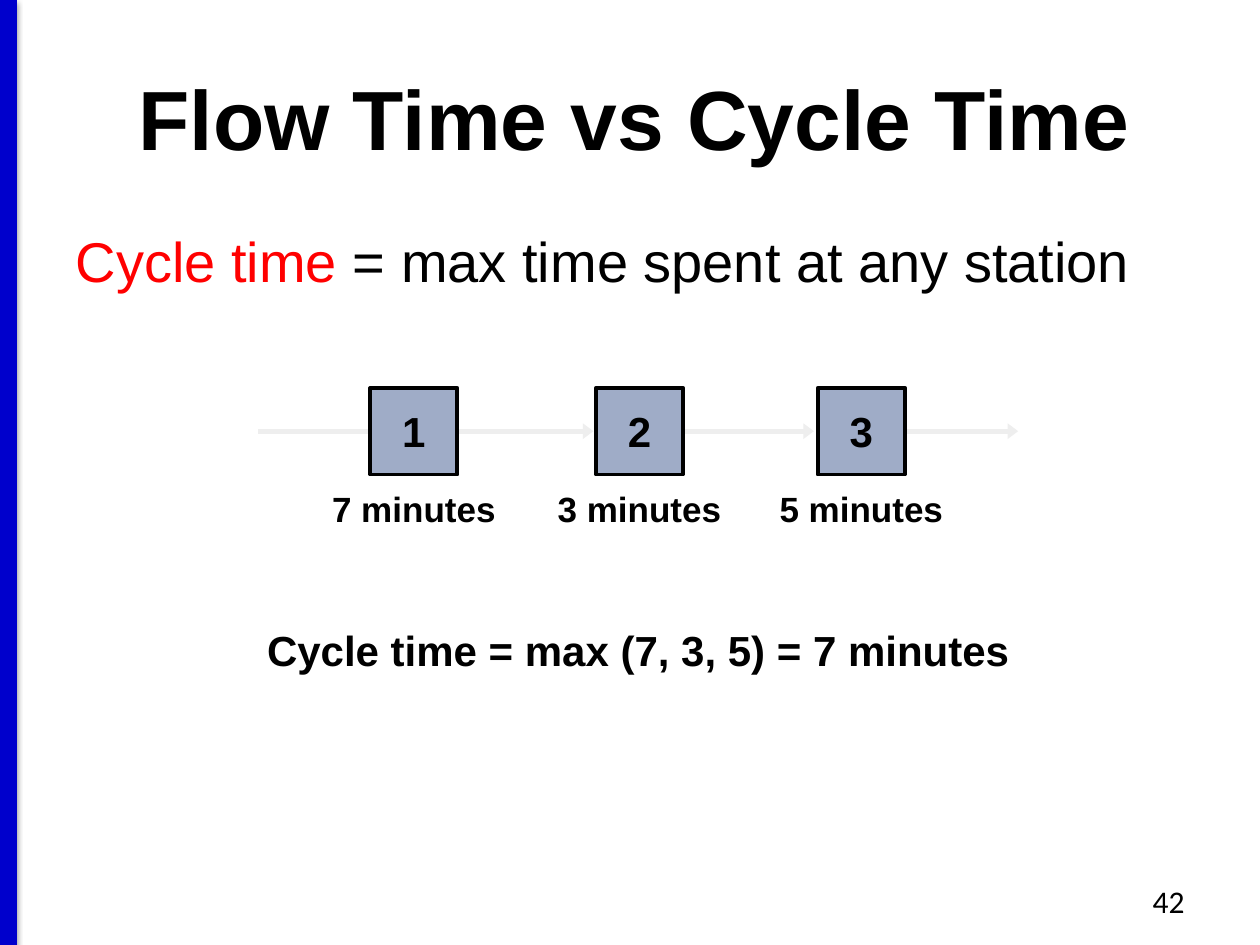
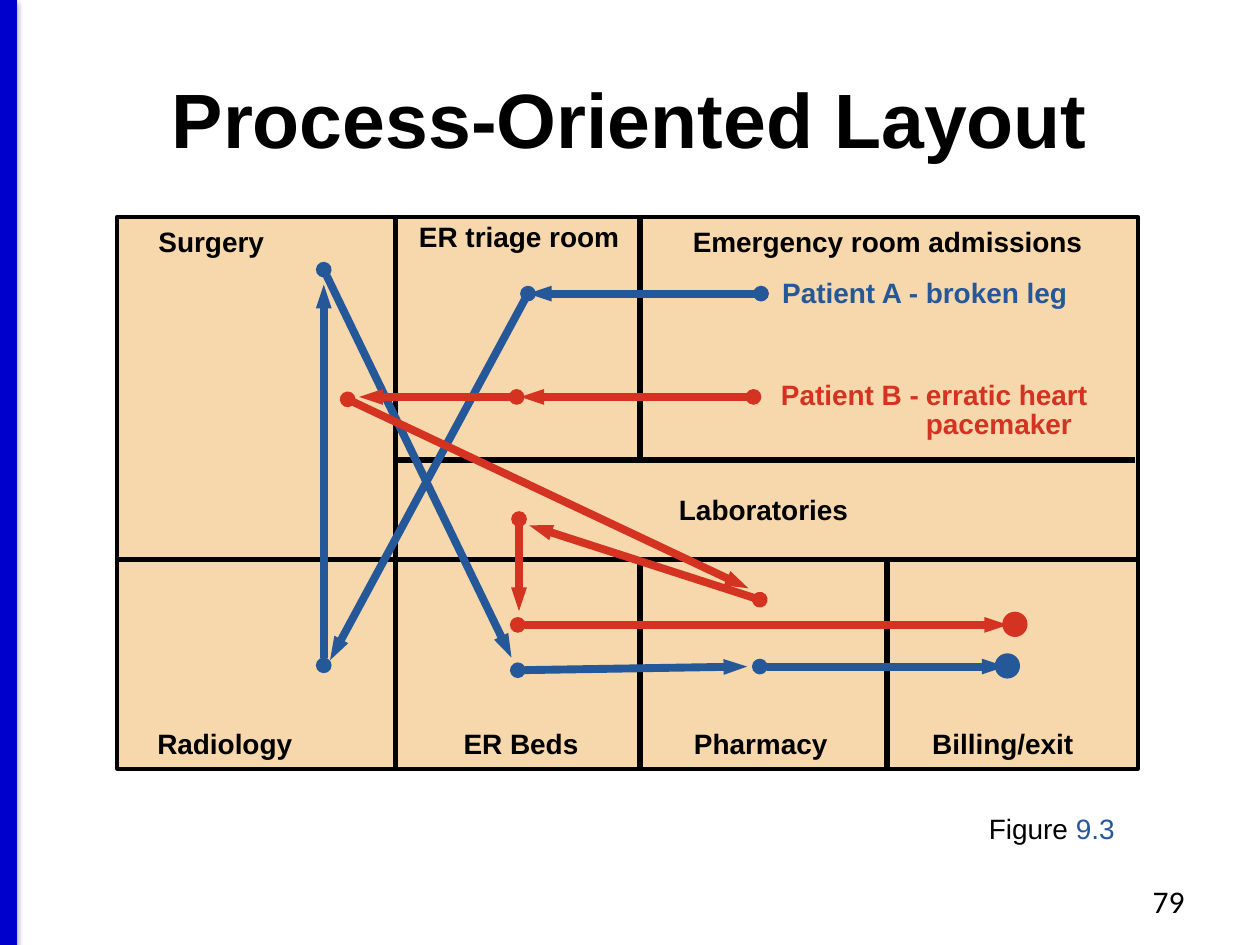
from lxml import etree
from pptx import Presentation
from pptx.dml.color import RGBColor
from pptx.enum import shapes, text
from pptx.oxml import ns
from pptx.util import Pt

COLOURS = {
    "black": "000000", "band": "0000CC", "key": "FF0000",
    "flow": "EEEEEE", "station": "9FACC7", "floor": "F7D7AC",
    "patient_a": "255898", "patient_b": "D33320",
}
FONT = "Arial"
LEFT, CENTRE, RIGHT = text.PP_ALIGN.LEFT, text.PP_ALIGN.CENTER, text.PP_ALIGN.RIGHT


def rgb(name):
    return RGBColor.from_string(COLOURS[name])


def sub(parent, tag, **attributes):
    return etree.SubElement(parent, ns.qn(tag), attributes)


def add_runs(paragraph, runs, size, bold=False, font=FONT):
    """Append (wording, colour) pairs to a paragraph."""
    for wording, colour in runs:
        run = paragraph.add_run()
        run.text = wording
        run.font.name = font
        run.font.size = Pt(size)
        run.font.bold = bold
        run.font.color.rgb = rgb(colour)


def add_line(slide, start, end, colour, width):
    line = slide.shapes.add_connector(
        shapes.MSO_CONNECTOR.STRAIGHT, *(Pt(v) for v in (*start, *end)))
    line.line.color.rgb = rgb(colour)
    line.line.width = Pt(width)
    effects = sub(line._element.spPr, "a:effectLst")
    return line, effects


def add_flow_arrow(slide, start, end):
    line, _ = add_line(slide, start, end, "flow", 3)
    sub(line.line._get_or_add_ln(), "a:tailEnd", type="triangle", w="med", len="sm")


def add_route(slide, start, end, patient):
    """Draw one leg of a patient's way, from a dot to an arrowhead."""
    line, _ = add_line(slide, start, end, patient, 4.5)
    ln = line.line._get_or_add_ln()
    sub(ln, "a:headEnd", type="oval", w="sm", len="sm")
    sub(ln, "a:tailEnd", type="triangle", w="sm", len="med")


def add_shape(slide, kind, box, fill, line, line_width):
    shape = slide.shapes.add_shape(kind, *(Pt(v) for v in box))
    shape.shadow.inherit = False
    shape.fill.solid()
    shape.fill.fore_color.rgb = rgb(fill)
    shape.line.color.rgb = rgb(line)
    shape.line.width = Pt(line_width)
    return shape


def add_text(slide, box, runs, size, bold=True, align=LEFT, wrap=False, font=FONT):
    frame = slide.shapes.add_textbox(*(Pt(v) for v in box)).text_frame
    frame.word_wrap = wrap
    paragraph = frame.paragraphs[0]
    paragraph.alignment = align
    add_runs(paragraph, runs, size, bold, font)
    return frame


def place(placeholder, box):
    placeholder.left, placeholder.top, placeholder.width, placeholder.height = (
        Pt(v) for v in box)
    placeholder.text_frame.auto_size = text.MSO_AUTO_SIZE.NONE
    return placeholder.text_frame


def start_slide(deck, layout, title, title_box, title_size, number):
    """Add a slide with the side band, its title and its page number."""
    slide = deck.slides.add_slide(deck.slide_layouts[layout])
    _, effects = add_line(slide, (5, 0), (5, 540), "band", 10)
    shadow = sub(effects, "a:outerShdw", blurRad=str(Pt(3.1)), dist=str(Pt(1.6)),
                 dir="5400000", rotWithShape="0")
    shade = sub(shadow, "a:srgbClr", val=COLOURS["black"])
    sub(shade, "a:alpha", val="38000")

    heading = place(slide.shapes.title, title_box)
    heading.vertical_anchor = text.MSO_ANCHOR.MIDDLE
    heading.paragraphs[0].alignment = CENTRE
    add_runs(heading.paragraphs[0], [(title, "black")], title_size, bold=True)

    page = add_text(slide, (516, 500.5, 168, 28.8), [(number, "black")], 18,
                    bold=False, align=RIGHT, wrap=True, font="Calibri")
    page.vertical_anchor = text.MSO_ANCHOR.MIDDLE
    return slide


def add_station(slide, centre, number, minutes):
    side = 49.6
    station = add_shape(slide, shapes.MSO_SHAPE.RECTANGLE,
                        (centre - side / 2, 221.6, side, side), "station", "black", 2.25)
    station.text_frame.vertical_anchor = text.MSO_ANCHOR.MIDDLE
    digit = station.text_frame.paragraphs[0]
    digit.alignment = CENTRE
    add_runs(digit, [(str(number), "black")], 24, bold=True)
    add_text(slide, (centre - 54.5, 275, 109, 31), [(f"{minutes} minutes", "black")],
             20, align=CENTRE)


def build_cycle_time(deck):
    slide = start_slide(deck, 1, "Flow Time vs Cycle Time", (5, 21.6, 715, 90), 48, "42")

    definition = place(slide.placeholders[1], (36, 126, 648, 356.4)).paragraphs[0]
    properties = definition._p.get_or_add_pPr()
    properties.set("marL", str(Pt(30)))
    properties.set("indent", str(Pt(-30)))
    sub(properties, "a:buNone")
    definition.space_before = Pt(0)
    definition.space_after = Pt(12)
    add_runs(definition, [("Cycle time ", "key"),
                          ("= max time spent at any station", "black")], 32)

    flow_y = 246.4
    add_line(slide, (147.6, flow_y), (215.3, flow_y), "flow", 3)
    for start, end in ((256.3, 339.1), (383.8, 465.1), (513.4, 581.8)):
        add_flow_arrow(slide, (start, flow_y), (end, flow_y))
    stations = ((236.5, 7), (365.4, 3), (492.2, 5))
    for number, (centre, minutes) in enumerate(stations, 1):
        add_station(slide, centre, number, minutes)

    add_text(slide, (143.3, 353.5, 442.8, 36),
             [("Cycle time = max (7, 3, 5) = 7 minutes", "black")], 24, align=CENTRE)


def add_floor_plan(slide):
    add_shape(slide, shapes.MSO_SHAPE.RECTANGLE, (67, 123.8, 583.2, 315.4),
              "floor", "black", 2.25)
    walls = (
        ((66.2, 319.9), (650.2, 319.9)), ((226.1, 262.8), (648.7, 262.8)),
        ((226.1, 123.1), (226.1, 440.6)), ((365.8, 123.8), (365.8, 262.8)),
        ((506.9, 321.1), (506.9, 440)), ((365.8, 321.1), (365.8, 440)),
    )
    for start, end in walls:
        add_line(slide, start, end, "black", 3)

    top_row, lab_row, bottom_row = 124.6, 277.9, 411.8
    rooms = (
        ("Surgery", 83.5, top_row, 74.9),
        ("Emergency room admissions", 388.8, top_row, 237.6),
        ("Laboratories", 380.9, lab_row, 111.6),
        ("Radiology", 82.8, bottom_row, 92.2),
        ("ER Beds", 257.8, bottom_row, 79.9),
        ("Pharmacy", 389.5, bottom_row, 90.7),
        ("Billing/exit", 525.6, bottom_row, 95),
    )
    for room, left, top, width in rooms:
        add_text(slide, (left, top, width, 26.6), [(room, "black")], 16)
    triage = add_text(slide, (223.9, top_row, 145.4, 24.5),
                      [("ER triage room", "black")], 16, align=CENTRE, wrap=True)
    triage.paragraphs[0].line_spacing = 0.85


def build_process_layout(deck):
    slide = start_slide(deck, 5, "Process-Oriented Layout", (54, 32.4, 612, 69.8), 44, "79")
    add_floor_plan(slide)

    routes = {
        "patient_a": (
            ((434.9, 167.8), (301.7, 167.8)), ((185, 154.1), (292.3, 375.8)),
            ((185, 380.2), (185, 162.7)), ((301.7, 167.8), (188.6, 377.3)),
            ((295.9, 383), (427, 380.9)), ((434.2, 380.9), (574.6, 380.9)),
        ),
        "patient_b": (
            ((198.7, 228.2), (427.7, 336.2)), ((430.6, 226.8), (297.4, 226.8)),
            ((295.2, 226.8), (205.2, 226.8)), ((434.2, 342.7), (302.4, 300.2)),
            ((296.6, 296.6), (296.6, 349.2)), ((295.9, 357.1), (576, 357.1)),
        ),
    }
    for patient, legs in routes.items():
        for start, end in legs:
            add_route(slide, start, end, patient)

    exits = (("patient_a", 568.8, 373.7), ("patient_b", 573.1, 349.9))
    for patient, left, top in exits:
        add_shape(slide, shapes.MSO_SHAPE.OVAL, (left, top, 13.7, 13.7),
                  patient, patient, 0.75)

    add_text(slide, (439.9, 154.1, 179.3, 26.6),
             [("Patient A - broken leg", "patient_a")], 16)
    case_b = add_text(slide, (439.2, 215.3, 196.6, 41),
                      [("Patient B -\terratic heart pacemaker", "patient_b")], 16, wrap=True)
    hanging = case_b.paragraphs[0]
    hanging.line_spacing = 0.85
    hanging._p.get_or_add_pPr().set("marL", str(Pt(82.8)))
    hanging._p.get_or_add_pPr().set("indent", str(Pt(-82.8)))

    add_text(slide, (558, 460.1, 90, 26.6),
             [("Figure ", "black"), ("9.3", "patient_a")], 16, bold=False)


def main():
    deck = Presentation()
    deck.slide_width, deck.slide_height = Pt(720), Pt(540)
    build_cycle_time(deck)
    build_process_layout(deck)
    deck.save("out.pptx")


if __name__ == "__main__":
    main()
